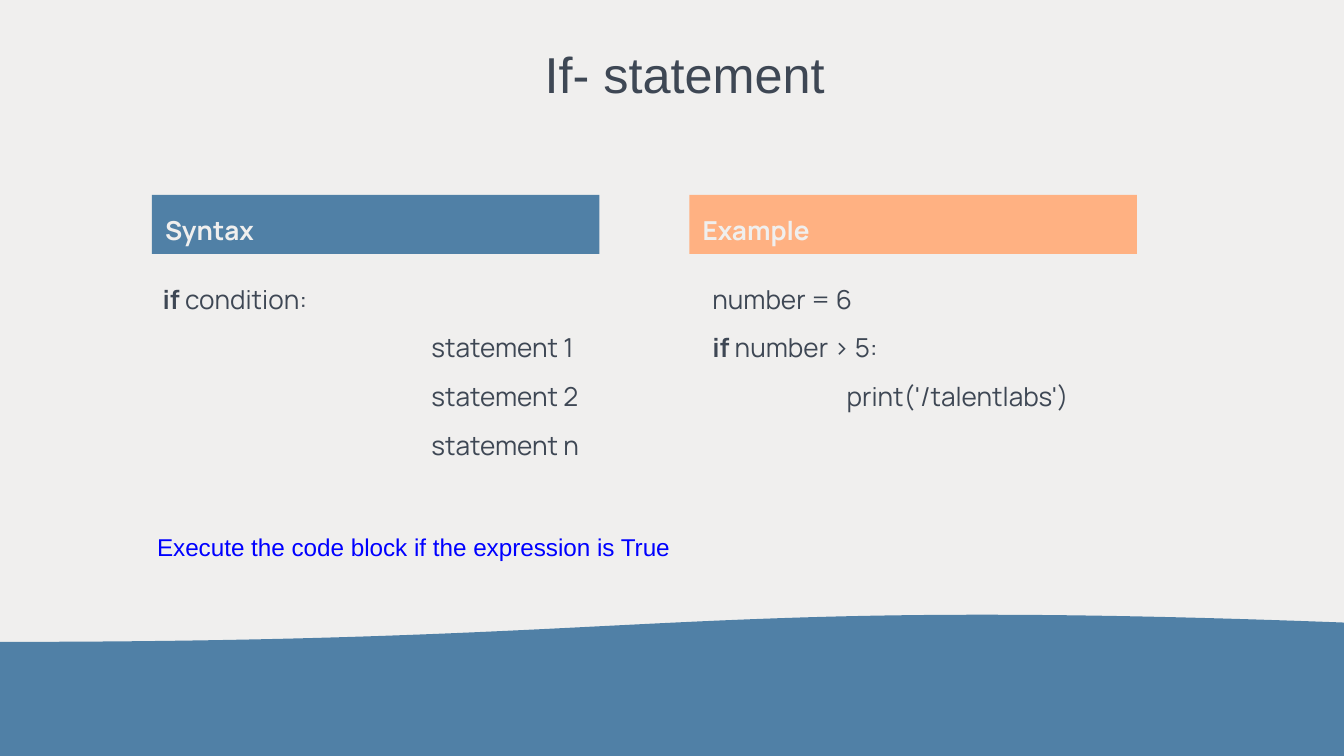
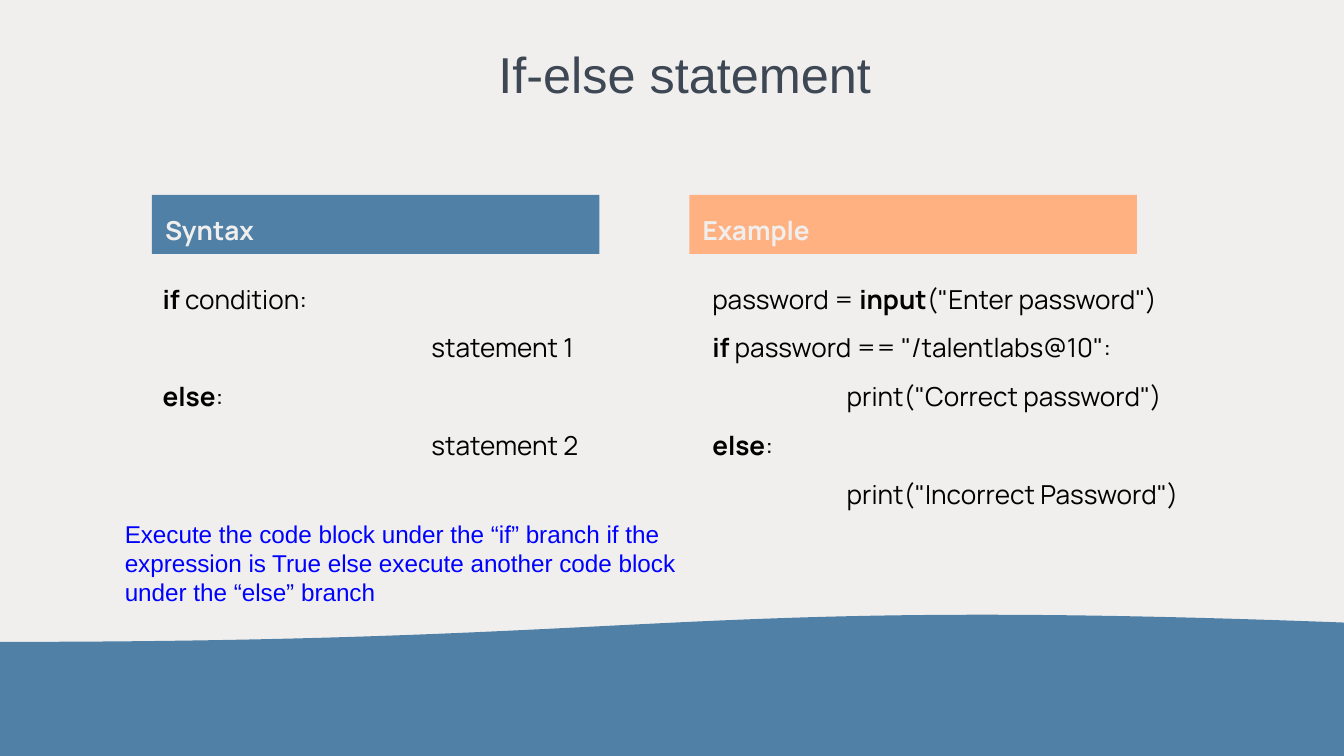
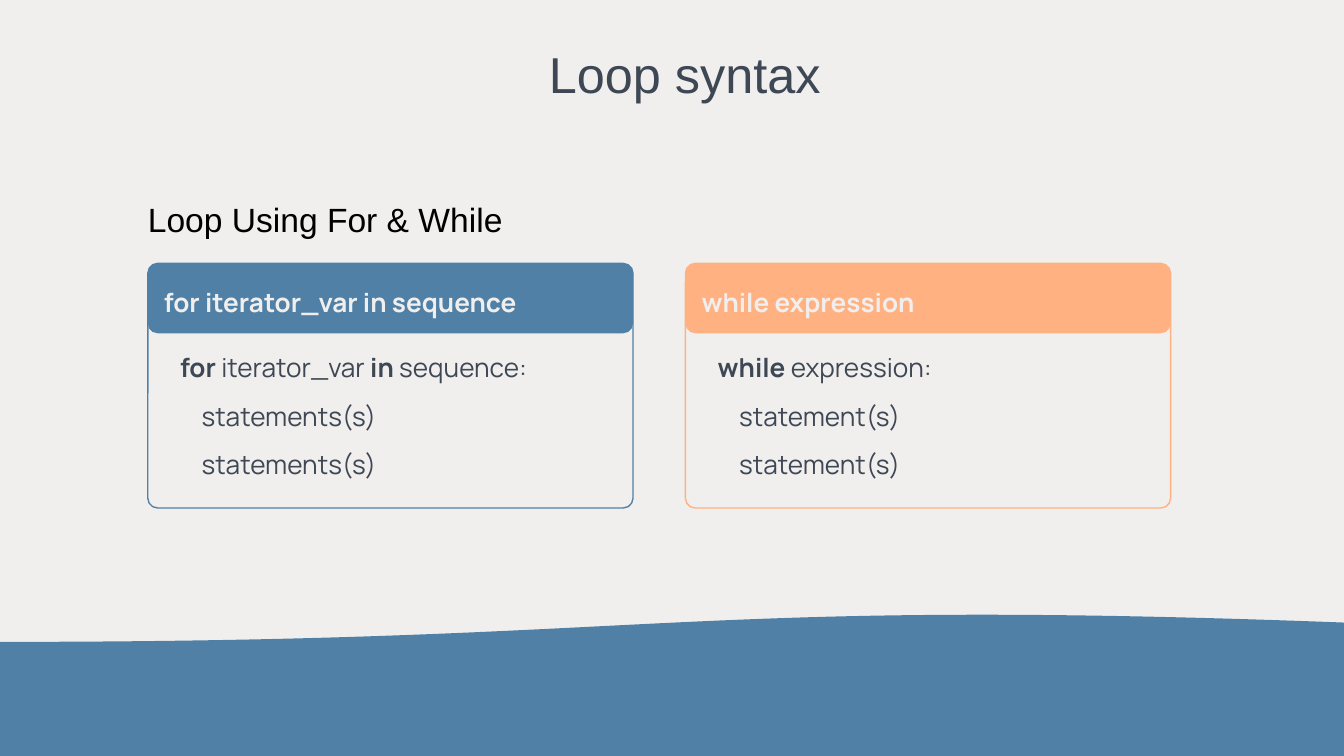
from dataclasses import dataclass

import pptx
import pptx.dml.color
import pptx.enum.shapes
import pptx.enum.text
import pptx.util

Shape = pptx.enum.shapes.MSO_SHAPE
Anchor = pptx.enum.text.MSO_ANCHOR
Align = pptx.enum.text.PP_ALIGN
Pt = pptx.util.Pt


@dataclass(frozen=True)
class Theme:
    paper: str = "F0EFEE"
    ink: str = "3E4754"
    black: str = "000000"
    blue: str = "5080A6"
    orange: str = "FFB182"
    note: str = "0000FF"
    plain_font: str = "Arial"
    code_font: str = "Manrope"
    title_size: float = 27
    subtitle_size: float = 18
    code_size: float = 14
    note_size: float = 13
    outline: float = 0.75
    code_spacing: float = 1.2
    code_gap: float = 6


THEME = Theme()
GRID_COLUMNS = 100
PANEL_PITCH = 40


def color(value):
    return pptx.dml.color.RGBColor.from_string(value)


class Lesson:
    """Holds the deck, its theme and the current page; places are (column, row, width, height) in grid cells."""

    def __init__(self, theme):
        self.theme = theme
        self.deck = pptx.Presentation()
        self.deck.slide_width = pptx.util.Inches(10)
        self.deck.slide_height = pptx.util.Inches(5.625)
        self.cell = self.deck.slide_width / GRID_COLUMNS
        backdrop = self.deck.slide_master.background.fill
        backdrop.solid()
        backdrop.fore_color.rgb = color(theme.paper)
        self.page = None

    def cells(self, *counts):
        return [round(count * self.cell) for count in counts]

    def start_page(self, title):
        self.page = self.deck.slides.add_slide(self.deck.slide_layouts[5])
        box = self.page.shapes.title
        box.left, box.top, box.width, box.height = self.cells(8.8, 3, 84.3, 5.5)
        self.set_frame(box, (0.7, 0.4), Anchor.MIDDLE)
        para = box.text_frame.paragraphs[0]
        para.text = title
        para.alignment = Align.CENTER
        para.line_spacing = 0.9
        self.set_font(para, self.theme.plain_font, self.theme.title_size, self.theme.ink)
        wave = self.shape(Shape.FLOWCHART_DOCUMENT, (0, 45.6, 100, 10.9), fill=self.theme.blue)
        wave.rotation = 180

    def set_frame(self, box, insets, anchor=Anchor.TOP):
        frame = box.text_frame
        frame.word_wrap = True
        frame.auto_size = pptx.enum.text.MSO_AUTO_SIZE.NONE
        frame.vertical_anchor = anchor
        side, edge = self.cells(*insets)
        frame.margin_left = frame.margin_right = side
        frame.margin_top = frame.margin_bottom = edge

    def set_font(self, para, name, size, tint, bold=None):
        font = para.font
        font.name, font.size, font.bold = name, Pt(size), bold
        font.color.rgb = color(tint)

    def shape(self, kind, place, fill=None, line=None, corner=None):
        item = self.page.shapes.add_shape(kind, *self.cells(*place))
        item.shadow.inherit = False
        if corner is not None:
            item.adjustments[0] = corner
        if fill:
            item.fill.solid()
            item.fill.fore_color.rgb = color(fill)
        else:
            item.fill.background()
        if line:
            item.line.color.rgb = color(line)
            item.line.width = Pt(self.theme.outline)
        else:
            item.line.fill.background()
        return item

    def header(self, text, place, fill, kind=Shape.RECTANGLE, corner=None):
        bar = self.shape(kind, place, fill=fill, corner=corner)
        self.set_frame(bar, (1, 1))
        para = bar.text_frame.paragraphs[0]
        para.text = text
        para.alignment = Align.LEFT
        para.line_spacing = self.theme.code_spacing
        self.set_font(para, self.theme.code_font, self.theme.code_size, self.theme.paper, True)

    def plain_text(self, text, place, size, tint, inset=0, spacing=None):
        box = self.page.shapes.add_textbox(*self.cells(*place))
        self.set_frame(box, (inset, inset))
        para = box.text_frame.paragraphs[0]
        para.text = text
        para.line_spacing = spacing
        self.set_font(para, self.theme.plain_font, size, tint)

    def note(self, text, place):
        self.plain_text(text, place, self.theme.note_size, self.theme.note, inset=1)

    def code(self, lines, place, indents, tint, anchor=Anchor.TOP):
        """Writes code; a leading > takes the second indent, and *words* are bold."""
        box = self.page.shapes.add_textbox(*self.cells(*place))
        self.set_frame(box, (0, 0), anchor)
        for index, line in enumerate(lines):
            frame = box.text_frame
            para = frame.add_paragraph() if index else frame.paragraphs[0]
            nested = line.startswith(">")
            properties = para._p.get_or_add_pPr()
            properties.set("marL", str(self.cells(indents[nested])[0]))
            properties.set("indent", "0")
            para.line_spacing = self.theme.code_spacing
            if index:
                para.space_before = Pt(self.theme.code_gap)
            self.set_font(para, self.theme.code_font, self.theme.code_size, tint)
            for part, words in enumerate(line[nested:].split("*")):
                if words:
                    span = para.add_run()
                    span.text = words
                    span.font.bold = part % 2 == 1


def branch_page(lesson, title, syntax, example, tint, note, note_place):
    lesson.start_page(title)
    lesson.code(syntax, (12.1, 20.6, 42.5, 17), (0, 20), tint)
    lesson.code(example, (53, 20.6, 37, 20.7), (0, 10), tint)
    headers = (("Syntax", THEME.blue), ("Example", THEME.orange))
    for index, (text, fill) in enumerate(headers):
        lesson.header(text, (11.3 + index * PANEL_PITCH, 14.5, 33.3, 4.4), fill)
    lesson.note(note, note_place)


def loop_page(lesson):
    lesson.start_page("Loop syntax")
    lesson.plain_text("Loop Using For & While", (11, 14.2, 85.2, 3), THEME.subtitle_size,
                      THEME.black, spacing=THEME.code_spacing)
    loops = (
        ("for iterator_var in sequence", THEME.blue,
         ("*for* iterator_var *in* sequence:", ">statements(s)", ">statements(s)")),
        ("while expression", THEME.orange,
         ("*while* expression:", ">statement(s)", ">statement(s)")),
    )
    for index, (heading, tint, lines) in enumerate(loops):
        shift = index * PANEL_PITCH
        lesson.code(lines, (11.9 + shift, 25.7, 34.3, 10), (1.5, 3.1), THEME.ink, Anchor.MIDDLE)
        lesson.shape(Shape.ROUNDED_RECTANGLE, (11 + shift, 19.6, 36.1, 18.2), line=tint, corner=0.04)
        lesson.header(heading, (11 + shift, 19.6, 36.1, 5.2), tint, Shape.ROUNDED_RECTANGLE, 0.14)


def main():
    lesson = Lesson(THEME)
    branch_page(
        lesson, "If- statement",
        ("*if* condition:", ">statement 1", ">statement 2", ">statement n"),
        ("number = 6", "*if* number > 5:", ">print('/talentlabs')"),
        THEME.ink,
        "Execute the code block if the expression is True",
        (10.7, 38.6, 43.1, 4.4))
    branch_page(
        lesson, "If-else statement",
        ("*if* condition:", ">statement 1", "*else*:", ">statement 2"),
        ('password = *input*("Enter password")', '*if* password == "/talentlabs@10":',
         '>print("Correct password")', "*else*:", '>print("Incorrect Password")'),
        THEME.black,
        "Execute the code block under the “if” branch if the expression is True "
        "else execute another code block under the “else” branch",
        (8.3, 37.6, 43.1, 8.2))
    loop_page(lesson)
    lesson.deck.save("out.pptx")


if __name__ == "__main__":
    main()
